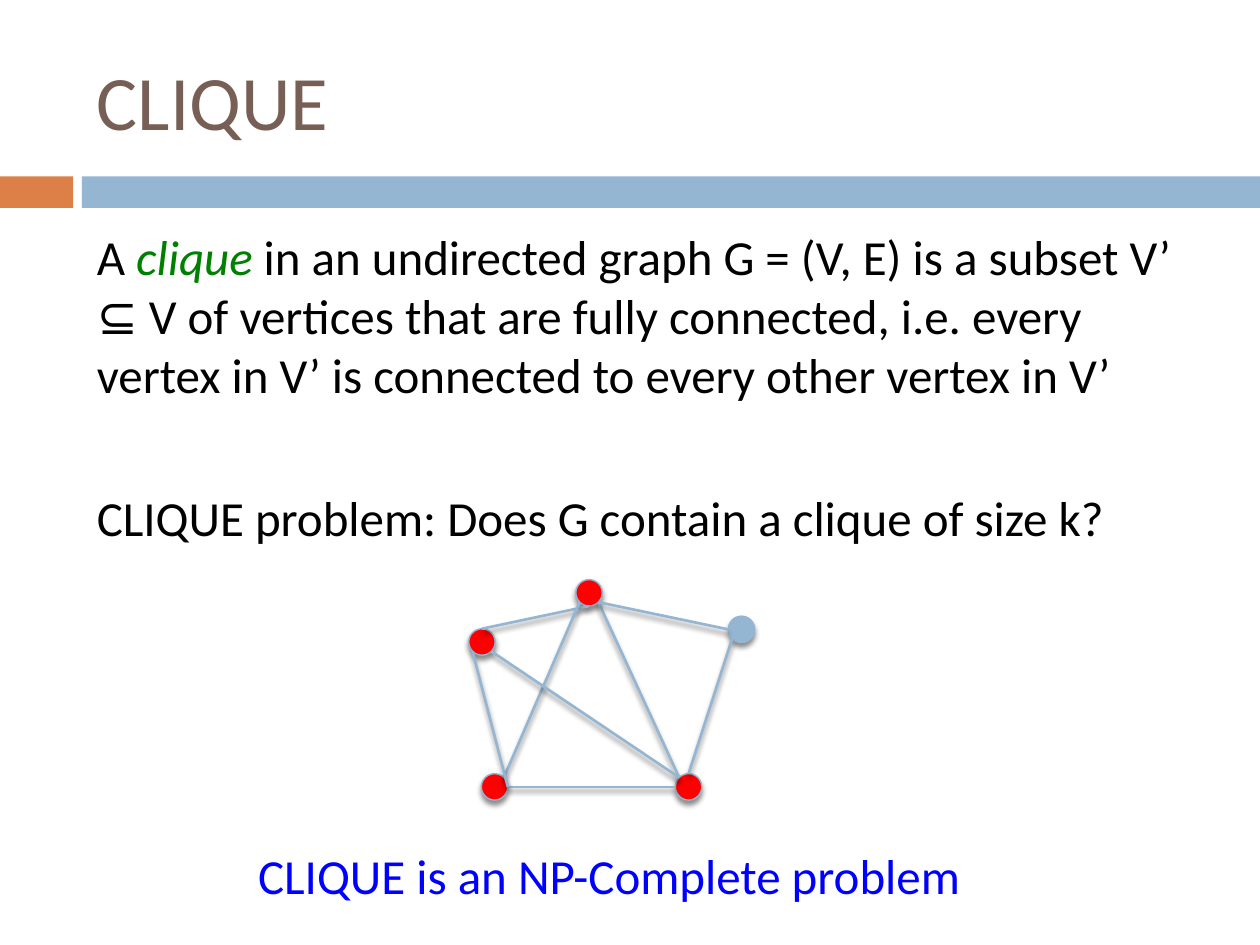
from dataclasses import dataclass
from math import cos, radians, sin

from lxml import etree
from pptx import Presentation
from pptx.dml.color import RGBColor
from pptx.enum.shapes import MSO_CONNECTOR, MSO_SHAPE
from pptx.enum.text import MSO_ANCHOR
from pptx.oxml.ns import qn
from pptx.util import Inches, Pt

RECTANGLE, OVAL = MSO_SHAPE.RECTANGLE, MSO_SHAPE.OVAL
STRAIGHT = MSO_CONNECTOR.STRAIGHT
TOP, MIDDLE = MSO_ANCHOR.TOP, MSO_ANCHOR.MIDDLE


@dataclass(frozen=True)
class Theme:
    font: str = "Calibri"
    title_size: float = 44
    body_size: float = 28
    node_line: float = 0.79
    edge_line: float = 1.5
    brown: RGBColor = RGBColor(0x77, 0x5F, 0x55)
    orange: RGBColor = RGBColor(0xDD, 0x80, 0x47)
    light_blue: RGBColor = RGBColor(0x94, 0xB6, 0xD2)
    black: RGBColor = RGBColor(0, 0, 0)
    green: RGBColor = RGBColor(0, 0x80, 0)
    blue: RGBColor = RGBColor(0, 0, 0xFF)
    red: RGBColor = RGBColor(0xFF, 0, 0)


class SlideBuilder:
    def __init__(self, slide, theme):
        self.slide = slide
        self.theme = theme

    def text(self, box, paragraphs, size, anchor=TOP, wrap=True):
        """Each paragraph is (space before, [(text, color, italic), ...])."""
        shape = self.slide.shapes.add_textbox(*map(Inches, box))
        frame = shape.text_frame
        frame.word_wrap = wrap
        frame.vertical_anchor = anchor
        for index, (space_before, runs) in enumerate(paragraphs):
            paragraph = frame.paragraphs[0] if index == 0 else frame.add_paragraph()
            paragraph.space_before = Pt(space_before)
            for words, color, italic in runs:
                run = paragraph.add_run()
                run.text = words
                run.font.color.rgb = color
                styles = {"name": self.theme.font, "size": Pt(size), "italic": italic}
                for name, value in styles.items():
                    setattr(run.font, name, value)

    def shape(self, kind, box, color):
        shape = self.slide.shapes.add_shape(kind, *map(Inches, box))
        shape.shadow.inherit = False
        shape.fill.solid()
        shape.fill.fore_color.rgb = color
        shape.line.fill.background()
        return shape

    def node(self, left, top, diameter, color):
        shape = self.shape(OVAL, (left, top, diameter, diameter), color)
        self.outline(shape, self.theme.node_line)
        self.drop_shadow(shape)

    def edge(self, start, end):
        connector = self.slide.shapes.add_connector(
            STRAIGHT, *map(Inches, (*start, *end)))
        self.outline(connector, self.theme.edge_line)
        self.drop_shadow(connector)

    def outline(self, shape, width):
        shape.line.color.rgb = self.theme.light_blue
        shape.line.width = Pt(width)

    def drop_shadow(self, shape):
        properties = shape._element.spPr
        effects = properties.find(qn("a:effectLst"))
        if effects is None:
            effects = etree.SubElement(properties, qn("a:effectLst"))
        shadow = etree.SubElement(
            effects, qn("a:outerShdw"), blurRad=str(Pt(3)), dist=str(Pt(2.4)),
            dir="5400000", rotWithShape="0")
        color = etree.SubElement(shadow, qn("a:srgbClr"), val="000000")
        etree.SubElement(color, qn("a:alpha"), val="45000")


def rim_point(corner, diameter, site):
    """Point on a circle; sites 0 to 7 run counterclockwise from the top."""
    angle = radians(90 + 45 * site)
    radius = diameter / 2
    left, top = corner
    return left + radius * (1 + cos(angle)), top + radius * (1 - sin(angle))


def main():
    theme = Theme()
    presentation = Presentation()
    presentation.slide_width, presentation.slide_height = Inches(10), Inches(7.5)
    slide = presentation.slides.add_slide(presentation.slide_layouts[6])
    builder = SlideBuilder(slide, theme)

    # Header band and title
    builder.shape(RECTANGLE, (0, 1.4, 0.58, 0.25), theme.orange)
    builder.shape(RECTANGLE, (0.65, 1.4, 9.35, 0.25), theme.light_blue)
    builder.text((0.67, 0.25, 8.92, 1.08), [(0, [("CLIQUE", theme.brown, False)])],
                 theme.title_size, anchor=MIDDLE)

    # Definition and question
    definition = [
        ("A ", theme.black, False),
        ("clique", theme.green, True),
        (" in an undirected graph G = (V, E) is a subset V’ ⊆ V of vertices that are "
         "fully connected, i.e. every vertex in V’ is connected to every other vertex "
         "in V’", theme.black, False),
    ]
    question = [("CLIQUE problem: Does G contain a clique of size k?",
                 theme.black, False)]
    builder.text((0.67, 1.75, 8.92, 2.72), [(0, definition), (48, question)],
                 theme.body_size)

    # Graph nodes: the red ones form the clique
    diameter = 0.21
    nodes = {
        "top": (4.57, 4.6),
        "left": (3.72, 4.99),
        "bottom left": (3.82, 6.14),
        "bottom right": (5.36, 6.14),
        "right": (5.78, 4.89),
    }
    for name, corner in nodes.items():
        color = theme.light_blue if name == "right" else theme.red
        builder.node(*corner, diameter, color)

    # Graph edges: node and rim site at each end
    edges = [
        ("top", 4, "left", 0),
        ("top", 5, "bottom right", 1),
        ("bottom left", 6, "bottom right", 2),
        ("bottom left", 7, "top", 3),
        ("left", 5, "bottom right", 1),
        ("left", 3, "bottom left", 6),
        ("right", 3, "bottom right", 0),
        ("top", 5, "right", 2),
    ]
    for start, start_site, end, end_site in edges:
        builder.edge(rim_point(nodes[start], diameter, start_site),
                     rim_point(nodes[end], diameter, end_site))

    # Conclusion
    builder.text((1.95, 6.66, 5.81, 0.57),
                 [(0, [("CLIQUE is an NP-Complete problem", theme.blue, False)])],
                 theme.body_size, wrap=False)

    presentation.save("out.pptx")


if __name__ == "__main__":
    main()
